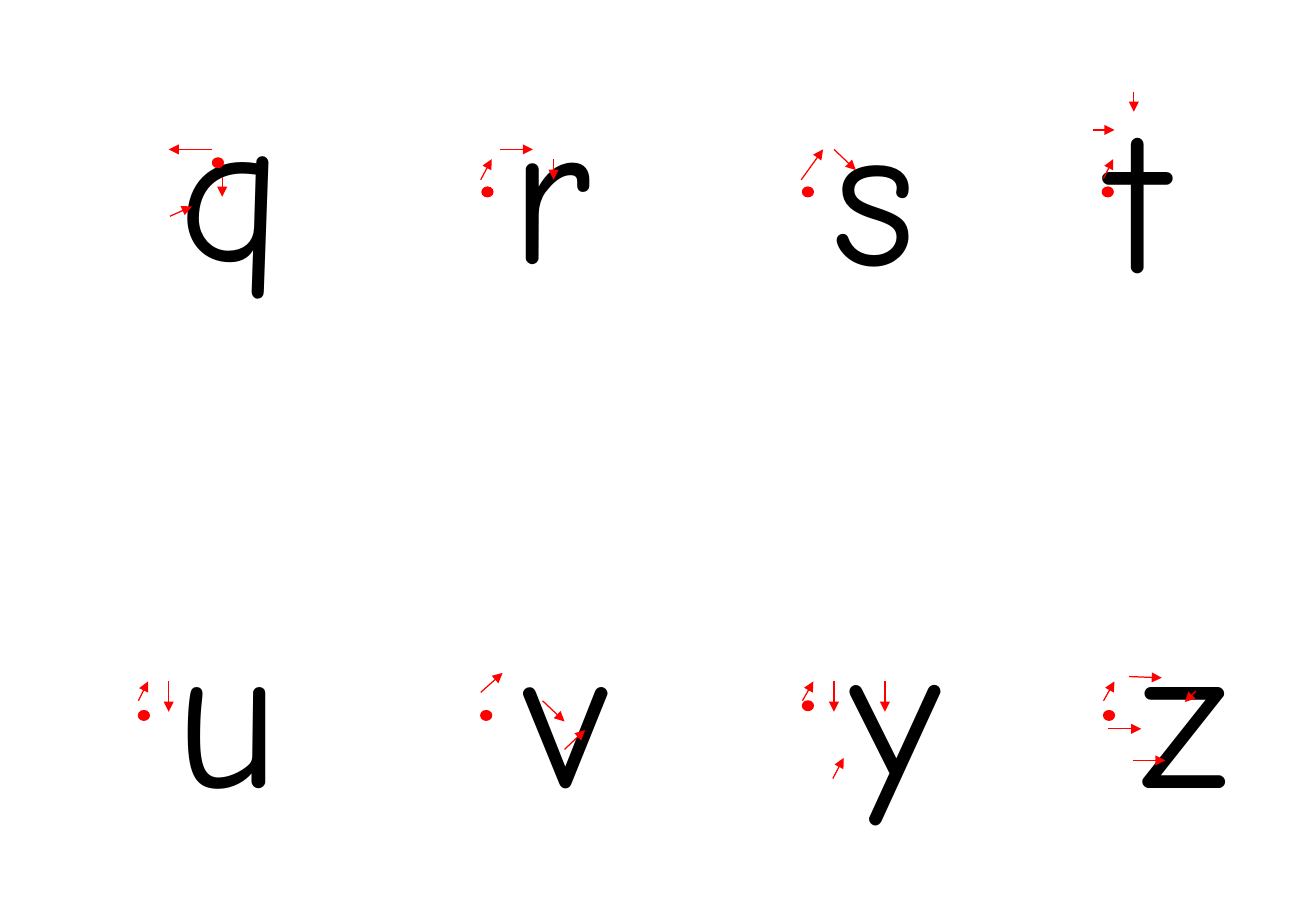
import pptx
import pptx.util
import pptx.dml.color
import pptx.enum.shapes
import pptx.enum.text
import pptx.oxml.ns
import lxml.etree

Inches = pptx.util.Inches
Pt = pptx.util.Pt
COLORS = {"ink": "000000", "mark": "FF0000"}

# Letter grid: left edge of each column, top edge of each row
COLS = [1.1, 3.9, 6.6, 9.0]
ROWS = [0.4, 4.7]

# Offsets inside a cell: text (left, top, width), start dot (left, top),
# stroke arrows (x1, y1, x2, y2)
LETTERS = [
    ("q", (0.27, 0.04, 0.55), (0.65, 0.9),
     [(0.3, 1.38, 0.48, 1.3), (0.65, 0.83, 0.29, 0.83), (0.73, 1.06, 0.73, 1.22)]),
    ("r", (0.21, 0.05, 0.5), (0.07, 1.14),
     [(0.06, 1.08, 0.15, 0.91), (0.22, 0.83, 0.49, 0.83), (0.66, 0.91, 0.66, 1.08)]),
    ("s", (0.16, 0.07, 0.44), (0.01, 1.14),
     [(0, 1.08, 0.18, 0.83), (0.27, 0.83, 0.45, 1)]),
    ("t", (-0.97, 0.13, 2.71), (0.08, 1.14),
     [(0.09, 1.07, 0.17, 0.91), (0.34, 0.36, 0.34, 0.52), (0, 0.67, 0.18, 0.67)]),
    ("u", (0.25, 0.07, 0.46), (0.04, 1.15),
     [(0.04, 1.07, 0.12, 0.91), (0.29, 0.91, 0.29, 1.16)]),
    ("v", (0.32, 0.07, 0.46), (0.06, 1.15),
     [(0.06, 1, 0.24, 0.84), (0.57, 1.07, 0.75, 1.24), (0.75, 1.47, 0.92, 1.31)]),
    ("y", (0.31, 0.05, 0.35), (0.01, 1.07),
     [(0.01, 1.07, 0.1, 0.91), (0.27, 0.91, 0.27, 1.16), (0.69, 0.91, 0.69, 1.16),
      (0.26, 1.71, 0.35, 1.54)]),
    ("z", (0.3, 0.07, 0.46), (0.09, 1.15),
     [(0.09, 1.07, 0.18, 0.91), (0.3, 0.87, 0.57, 0.88), (0.85, 0.99, 0.76, 1.08),
      (0.33, 1.56, 0.6, 1.56), (0.13, 1.3, 0.4, 1.3)]),
]


def rgb(name):
    return pptx.dml.color.RGBColor.from_string(COLORS[name])


def add_text(slide, text, left, top, width, height, size=120,
             font="Comic Neue", color="ink"):
    box = slide.shapes.add_textbox(Inches(left), Inches(top),
                                   Inches(width), Inches(height))
    frame = box.text_frame
    frame.word_wrap = True
    frame.auto_size = pptx.enum.text.MSO_AUTO_SIZE.SHAPE_TO_FIT_TEXT
    para = frame.paragraphs[0]
    para.alignment = pptx.enum.text.PP_ALIGN.CENTER
    run = para.add_run()
    run.text = text
    run.font.size = Pt(size)
    run.font.name = font
    run.font.color.rgb = rgb(color)


def set_line(line):
    line.color.rgb = rgb("mark")
    line.width = Pt(0.75)


def add_arrow(slide, x1, y1, x2, y2):
    arrow = slide.shapes.add_connector(
        pptx.enum.shapes.MSO_CONNECTOR.STRAIGHT,
        Inches(x1), Inches(y1), Inches(x2), Inches(y2))
    set_line(arrow.line)
    qn = pptx.oxml.ns.qn
    tail = lxml.etree.SubElement(arrow.line._get_or_add_ln(), qn("a:tailEnd"))
    tail.set("type", "triangle")
    lxml.etree.SubElement(arrow._element.spPr, qn("a:effectLst"))


def add_dot(slide, left, top):
    dot = slide.shapes.add_shape(pptx.enum.shapes.MSO_SHAPE.OVAL, Inches(left),
                                 Inches(top), Inches(0.09), Inches(0.08))
    dot.shadow.inherit = False
    dot.fill.solid()
    dot.fill.fore_color.rgb = rgb("mark")
    set_line(dot.line)


def add_cell(slide, x, y, letter, text, dot, arrows):
    left, top, width = text
    add_text(slide, letter, x + left, y + top, width, 2.1)
    for x1, y1, x2, y2 in arrows:
        add_arrow(slide, x + x1, y + y1, x + x2, y + y2)
    add_dot(slide, x + dot[0], y + dot[1])


def main():
    deck = pptx.Presentation()
    deck.slide_width = Inches(10.84)
    deck.slide_height = Inches(7.5)
    slide = deck.slides.add_slide(deck.slide_layouts[6])
    for i, parts in enumerate(LETTERS):
        row, col = divmod(i, len(COLS))
        add_cell(slide, COLS[col], ROWS[row], *parts)
    deck.save("out.pptx")


if __name__ == "__main__":
    main()
